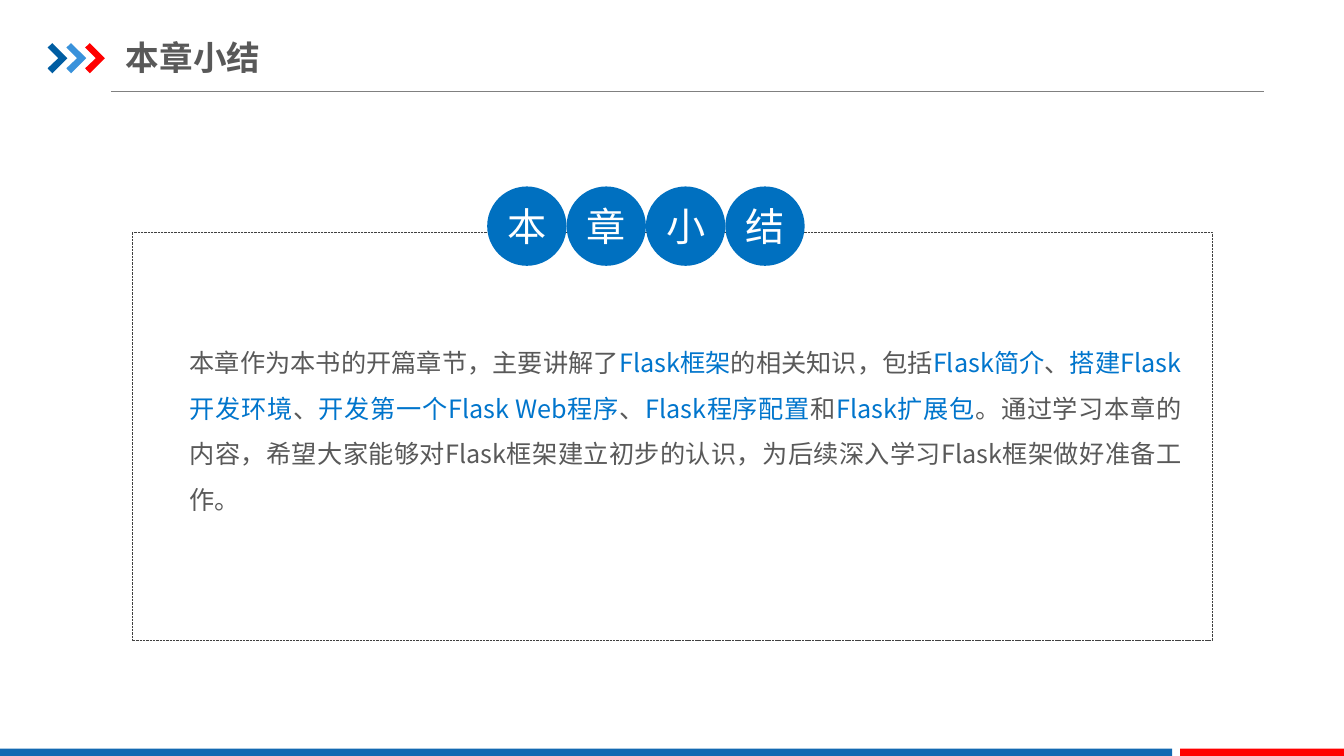
from lxml import etree
from pptx import Presentation
from pptx.dml.color import RGBColor
from pptx.enum import dml, shapes, text
from pptx.oxml import ns
from pptx.util import Pt

COLORS = {
    "navy": "005DA2", "sky": "3992DB", "red": "FF0000", "bar": "1369B2",
    "circle": "0070C0", "accent": "0075CC", "body": "595959",
    "rule": "808080", "frame": "404040", "white": "FFFFFF",
}
TITLE = "本章小结"
SUMMARY = [
    ("本章作为本书的开篇章节，主要讲解了", "body"),
    ("Flask框架", "accent"),
    ("的相关知识，包括", "body"),
    ("Flask简介", "accent"),
    ("、", "body"),
    ("搭建Flask开发环境", "accent"),
    ("、", "body"),
    ("开发第一个Flask Web程序", "accent"),
    ("、", "body"),
    ("Flask程序配置", "accent"),
    ("和", "body"),
    ("Flask扩展包", "accent"),
    ("。通过学习本章的内容，希望大家能够对Flask框架建立初步的认识，"
     "为后续深入学习Flask框架做好准备工作。", "body"),
]
CHEVRON = [(0, 3.2), (3.4, 0), (14.2, 10.8), (3.4, 21.6), (0, 18), (7.6, 10.8)]


def rgb(name):
    return RGBColor.from_string(COLORS[name])


class SlidePainter:
    font = "Noto Sans CJK SC"

    def __init__(self, page):
        self.page = page

    def set_text(self, box, spans, size=18, bold=False, align=None, spacing=None,
                 anchor=text.MSO_ANCHOR.TOP):
        """Fill a box with one paragraph of (text, colour) spans."""
        frame = box.text_frame
        frame.word_wrap = True
        frame.vertical_anchor = anchor
        frame.margin_left = frame.margin_right = 0
        frame.margin_top = frame.margin_bottom = 0
        para = frame.paragraphs[0]
        para.alignment = align
        para.line_spacing = spacing
        for content, color in spans:
            span = para.add_run()
            span.text = content
            span.font.size = Pt(size)
            span.font.bold = bold
            span.font.color.rgb = rgb(color)
            span.font.name = self.font
            east_asian = etree.SubElement(span.font._element, ns.qn("a:ea"))
            east_asian.set("typeface", self.font)

    def textbox(self, left, top, width, height, spans, **style):
        box = self.page.shapes.add_textbox(Pt(left), Pt(top), Pt(width), Pt(height))
        self.set_text(box, spans, **style)

    def shape(self, kind, left, top, width, height, fill):
        box = self.page.shapes.add_shape(kind, Pt(left), Pt(top), Pt(width), Pt(height))
        self.paint(box, fill)
        return box

    def paint(self, box, fill):
        box.shadow.inherit = False
        box.line.fill.background()
        if fill:
            box.fill.solid()
            box.fill.fore_color.rgb = rgb(fill)
        else:
            box.fill.background()

    def dashed_frame(self, left, top, width, height):
        box = self.shape(shapes.MSO_SHAPE.RECTANGLE, left, top, width, height, None)
        box.line.color.rgb = rgb("frame")
        box.line.width = Pt(0.25)
        box.line.dash_style = dml.MSO_LINE.SQUARE_DOT

    def chevron(self, left, top, fill):
        points = [(Pt(left + x), Pt(top + y)) for x, y in CHEVRON]
        builder = self.page.shapes.build_freeform(*points[0])
        builder.add_line_segments(points[1:], close=True)
        self.paint(builder.convert_to_shape(), fill)

    def rule(self, left, right, y):
        line = self.page.shapes.add_connector(
            shapes.MSO_CONNECTOR.STRAIGHT, Pt(left), Pt(y), Pt(right), Pt(y))
        line.line.color.rgb = rgb("rule")
        line.line.width = Pt(0.75)
        etree.SubElement(line._element.spPr, ns.qn("a:effectLst"))


def main():
    deck = Presentation()
    deck.slide_width, deck.slide_height = Pt(960), Pt(540)
    painter = SlidePainter(deck.slides.add_slide(deck.slide_layouts[6]))
    middle = text.MSO_ANCHOR.MIDDLE

    painter.rule(79.2, 903, 65.4)
    for index, color in enumerate(["navy", "sky", "red"]):
        painter.chevron(34 + 13.4 * index, 30.8, color)
    for left, width, color in [(0, 837.2, "bar"), (843, 117, "red")]:
        painter.shape(shapes.MSO_SHAPE.RECTANGLE, left, 534.8, width, 6.2, color)
    painter.textbox(90, 21, 446, 40, [(TITLE, "body")], size=24, bold=True,
                    anchor=middle)

    painter.dashed_frame(94.5, 166, 771.5, 291)
    painter.textbox(135.4, 237.6, 708.5, 126.7, SUMMARY, spacing=1.5,
                    align=text.PP_ALIGN.JUSTIFY)
    diameter = 56.7
    for index, letter in enumerate(TITLE):
        circle = painter.shape(shapes.MSO_SHAPE.OVAL, 348 + diameter * index, 133.2,
                               diameter, diameter, "circle")
        painter.set_text(circle, [(letter, "white")], size=28,
                         align=text.PP_ALIGN.CENTER, anchor=middle)
    deck.save("out.pptx")


if __name__ == "__main__":
    main()
